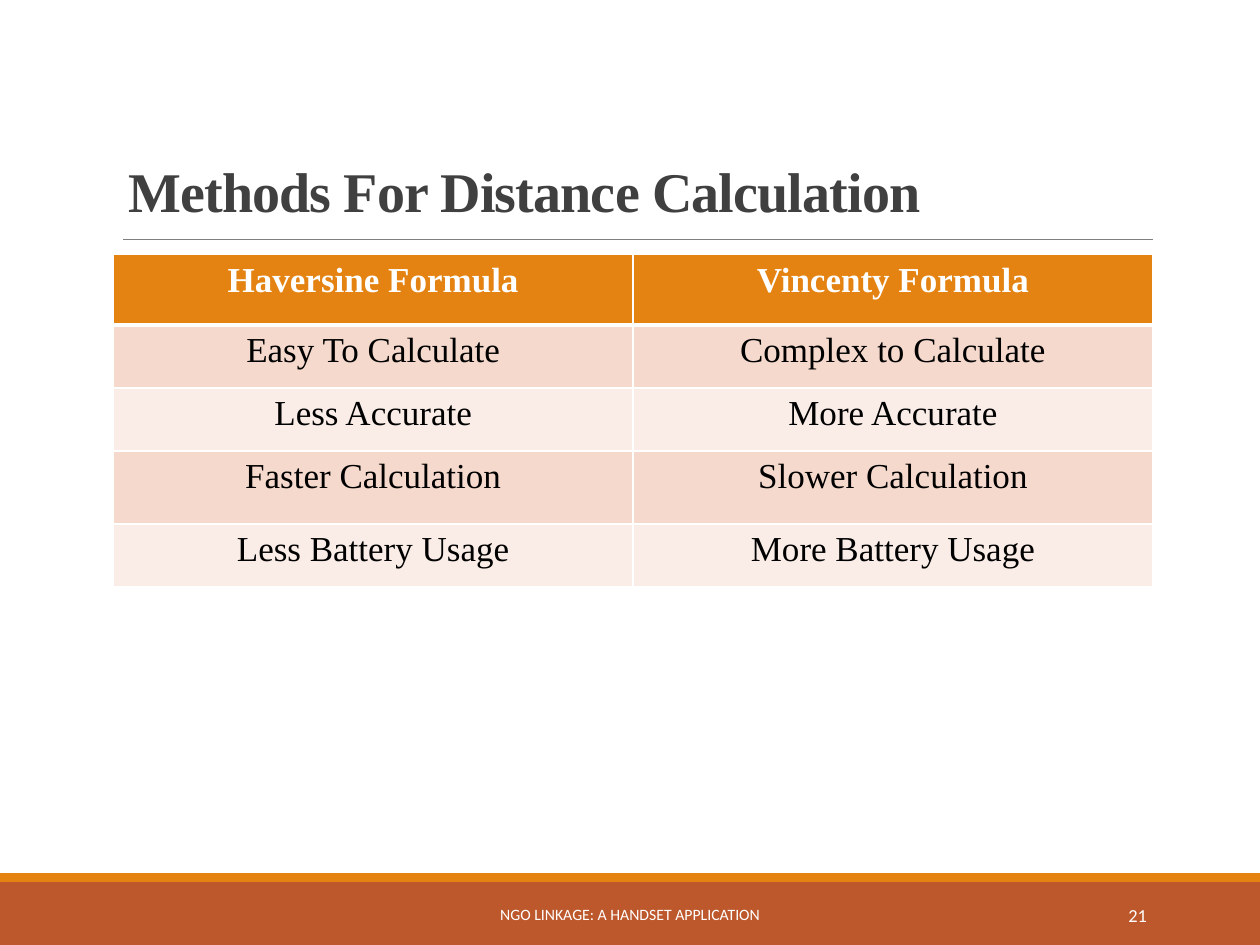
from pptx import Presentation
from pptx.dml.color import RGBColor
from pptx.enum import shapes, text
from pptx.oxml import ns
from pptx.util import Inches, Pt
from lxml import etree

WHITE = RGBColor(0xFF, 0xFF, 0xFF)
BLACK = RGBColor(0, 0, 0)
DARK = RGBColor(0x40, 0x40, 0x40)
GRAY = RGBColor(0x80, 0x80, 0x80)
RUST = RGBColor(0xBD, 0x58, 0x2C)
ORANGE = RGBColor(0xE4, 0x83, 0x12)
PEACH = RGBColor(0xF5, 0xD9, 0xCC)
PALE = RGBColor(0xFA, 0xED, 0xE7)
SERIF, SANS = "Times New Roman", "Calibri"

ROWS = [
    ("Haversine Formula", "Vincenty Formula"),
    ("Easy To Calculate", "Complex to Calculate"),
    ("Less Accurate", "More Accurate"),
    ("Faster Calculation", "Slower Calculation"),
    ("Less Battery Usage", "More Battery Usage"),
]
HEIGHTS = [0.56, 0.5, 0.5, 0.58, 0.5]


def style(para, font, size, color, align, bold=False):
    para.alignment = align
    for run in para.runs:
        run.font.name = font
        run.font.size = Pt(size)
        run.font.bold = bold
        run.font.color.rgb = color


def add_bar(slide, top, height, color):
    bar = slide.shapes.add_shape(
        shapes.MSO_SHAPE.RECTANGLE, 0, Inches(top), Inches(10), Inches(height))
    bar.shadow.inherit = False
    bar.fill.solid()
    bar.fill.fore_color.rgb = color
    bar.line.fill.background()


def add_rule(slide, left, right, top):
    rule = slide.shapes.add_connector(
        shapes.MSO_CONNECTOR.STRAIGHT,
        Inches(left), Inches(top), Inches(right), Inches(top))
    rule.line.color.rgb = GRAY
    rule.line.width = Pt(0.5)
    etree.SubElement(rule._element.spPr, ns.qn("a:effectLst"))


def add_label(slide, words, box, font, size, color, align,
              anchor=text.MSO_ANCHOR.MIDDLE, bold=False):
    frame = slide.shapes.add_textbox(*map(Inches, box)).text_frame
    frame.word_wrap = True
    frame.vertical_anchor = anchor
    frame.text = words
    para = frame.paragraphs[0]
    style(para, font, size, color, align, bold)
    return para


def add_title(slide, words):
    para = add_label(slide, words, (0.92, 0.91, 8.25, 0.92), SERIF, 32, DARK,
                     text.PP_ALIGN.LEFT, text.MSO_ANCHOR.BOTTOM, True)
    para.line_spacing = 0.85
    para.runs[0].font._element.set("spc", "-50")


def set_edges(cell, base):
    props = cell._tc.get_or_add_tcPr()
    for side, width in zip("LRTB", (1, 1, 1, base)):
        line = etree.SubElement(props, ns.qn("a:ln" + side), w=str(Pt(width)))
        fill = etree.SubElement(line, ns.qn("a:solidFill"))
        etree.SubElement(fill, ns.qn("a:srgbClr"), val=str(WHITE))


def add_grid(slide):
    grid = slide.shapes.add_table(
        len(ROWS), 2, Inches(0.9), Inches(2.02), Inches(8.25),
        Inches(sum(HEIGHTS))).table
    for i, (words, height) in enumerate(zip(ROWS, HEIGHTS)):
        grid.rows[i].height = Inches(height)
        head = i == 0
        shade = ORANGE if head else PEACH if i % 2 else PALE
        for j, word in enumerate(words):
            cell = grid.cell(i, j)
            set_edges(cell, 3 if head else 1)
            cell.fill.solid()
            cell.fill.fore_color.rgb = shade
            cell.text_frame.text = word
            style(cell.text_frame.paragraphs[0], SERIF, 20,
                  WHITE if head else BLACK, text.PP_ALIGN.CENTER, head)


def main():
    deck = Presentation()
    deck.slide_width, deck.slide_height = Inches(10), Inches(7.5)
    slide = deck.slides.add_slide(deck.slide_layouts[6])
    add_bar(slide, 7, 0.5, RUST)
    add_bar(slide, 6.93, 0.07, ORANGE)
    add_rule(slide, 0.98, 9.15, 1.9)
    add_title(slide, "Methods For Distance Calculation")
    add_grid(slide)
    add_label(slide, "NGO LINKAGE: A HANDSET APPLICATION",
              (3.02, 7.06, 3.96, 0.4), SANS, 9, WHITE, text.PP_ALIGN.CENTER)
    add_label(slide, "21", (8.12, 7.06, 1.08, 0.4), SANS, 10.5, WHITE,
              text.PP_ALIGN.RIGHT)
    deck.save("out.pptx")


if __name__ == "__main__":
    main()
